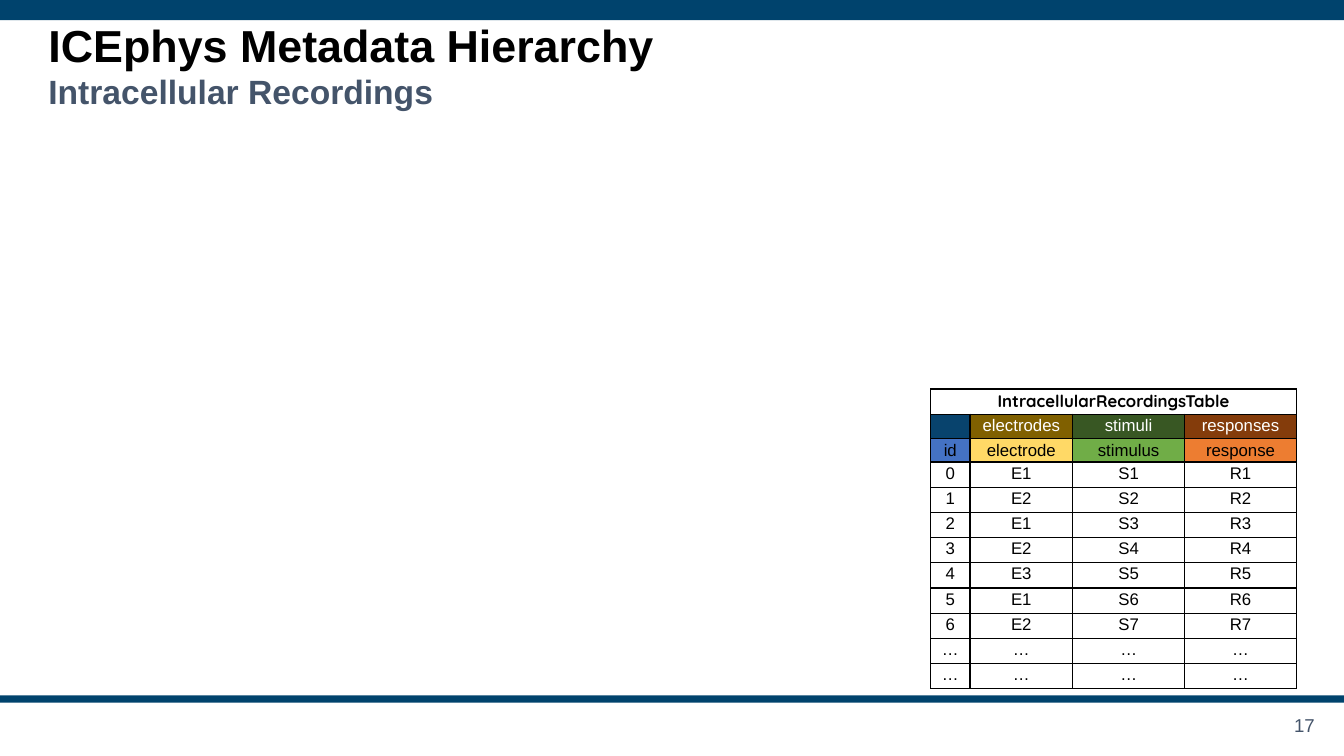
from lxml import etree
from pptx import Presentation
from pptx.dml.color import RGBColor
from pptx.enum import shapes, text
from pptx.oxml import ns
from pptx.util import Inches, Pt

NAVY, SLATE, BLACK, WHITE = "00436D", "44546A", "000000", "FFFFFF"
COLS = [0.39, 1.02, 1.11, 1.11]
ROWS = [0.25, 0.23, 0.23] + [0.25] * 9
GROUPS = ["", "electrodes", "stimuli", "responses"]
FIELDS = ["id", "electrode", "stimulus", "response"]
DARK = ["08436D", "806000", "385723", "843C0B"]
LIGHT = ["4472C4", "FFD966", "70AD47", "ED7D31"]
PROBES = [1, 2, 1, 2, 3, 1, 2]


def color(code):
    return RGBColor.from_string(code)


def place(shape, left, top, width, height):
    shape.left, shape.top = Inches(left), Inches(top)
    shape.width, shape.height = Inches(width), Inches(height)


def add_run(para, words, size, code, bold=False, face="Arial"):
    run = para.add_run()
    run.text = words
    run.font.size = Pt(size)
    run.font.name = face
    run.font.bold = bold
    run.font.color.rgb = color(code)


def set_frame(frame):
    frame.word_wrap = True
    frame.auto_size = text.MSO_AUTO_SIZE.NONE
    frame.vertical_anchor = text.MSO_ANCHOR.MIDDLE
    frame.margin_left = frame.margin_right = Inches(0.1)
    frame.margin_top = frame.margin_bottom = Inches(0.1)
    return frame.paragraphs[0]


def add_band(slide, top, height):
    band = slide.shapes.add_shape(
        shapes.MSO_SHAPE.RECTANGLE, 0, Inches(top), Inches(13.33), Inches(height))
    band.shadow.inherit = False
    band.fill.solid()
    band.fill.fore_color.rgb = color(NAVY)
    band.line.fill.background()


def add_title(slide):
    title = slide.shapes.title
    place(title, 0.38, 0.22, 12.42, 0.84)
    para = set_frame(title.text_frame)
    para.alignment = text.PP_ALIGN.LEFT
    add_run(para, "ICEphys Metadata Hierarchy", 32, BLACK, True)
    para.add_line_break()
    etree.SubElement(para._p[-1], ns.qn("a:rPr"), sz="3200")
    add_run(para, "Intracellular Recordings", 24, SLATE, True)


def add_number(slide):
    box = slide.shapes.add_textbox(
        Inches(12.36), Inches(7.05), Inches(0.78), Inches(0.29))
    para = set_frame(box.text_frame)
    para.alignment = text.PP_ALIGN.RIGHT
    add_run(para, "17", 13.3, SLATE)


def add_border(cell):
    props = cell._tc.get_or_add_tcPr()
    for side in ("lnL", "lnR", "lnT", "lnB"):
        line = etree.SubElement(props, ns.qn("a:" + side), w=str(Pt(1)))
        fill = etree.SubElement(line, ns.qn("a:solidFill"))
        etree.SubElement(fill, ns.qn("a:srgbClr"), val=BLACK)


def fill_cell(cell, words, back=None, code=BLACK, bold=False, face="Arial"):
    add_border(cell)
    if back:
        cell.fill.solid()
        cell.fill.fore_color.rgb = color(back)
    else:
        cell.fill.background()
    cell.margin_left = cell.margin_right = Inches(0.1)
    cell.margin_top = cell.margin_bottom = Inches(0.02)
    para = cell.text_frame.paragraphs[0]
    para.alignment = text.PP_ALIGN.CENTER
    if words:
        add_run(para, words, 12, code, bold, face)
    else:
        etree.SubElement(para._p, ns.qn("a:endParaRPr"), sz="1200")


def add_grid(slide):
    frame = slide.shapes.add_table(
        len(ROWS), len(COLS), Inches(9.23), Inches(3.86),
        Inches(sum(COLS)), Inches(sum(ROWS)))
    grid = frame.table
    grid.first_row = grid.horz_banding = False
    for col, width in zip(grid.columns, COLS):
        col.width = Inches(width)
    for row, height in zip(grid.rows, ROWS):
        row.height = Inches(height)
    heads = ["IntracellularRecordingsTable", "", "", ""]
    for col, words in enumerate(heads):
        fill_cell(grid.cell(0, col), words, WHITE, BLACK, True, "Quicksand")
        fill_cell(grid.cell(1, col), GROUPS[col], DARK[col], WHITE)
        fill_cell(grid.cell(2, col), FIELDS[col], LIGHT[col])
    grid.cell(0, 0).merge(grid.cell(0, 3))
    data = [[str(num), f"E{probe}", f"S{num + 1}", f"R{num + 1}"]
            for num, probe in enumerate(PROBES)]
    data += [["…"] * 4] * 2
    for row, values in enumerate(data, 3):
        for col, words in enumerate(values):
            fill_cell(grid.cell(row, col), words)


def main():
    deck = Presentation()
    deck.slide_width, deck.slide_height = Inches(13.33), Inches(7.5)
    slide = deck.slides.add_slide(deck.slide_layouts[5])
    add_band(slide, 0, 0.2)
    add_band(slide, 6.9, 0.07)
    add_title(slide)
    add_number(slide)
    add_grid(slide)
    deck.save("out.pptx")


main()
